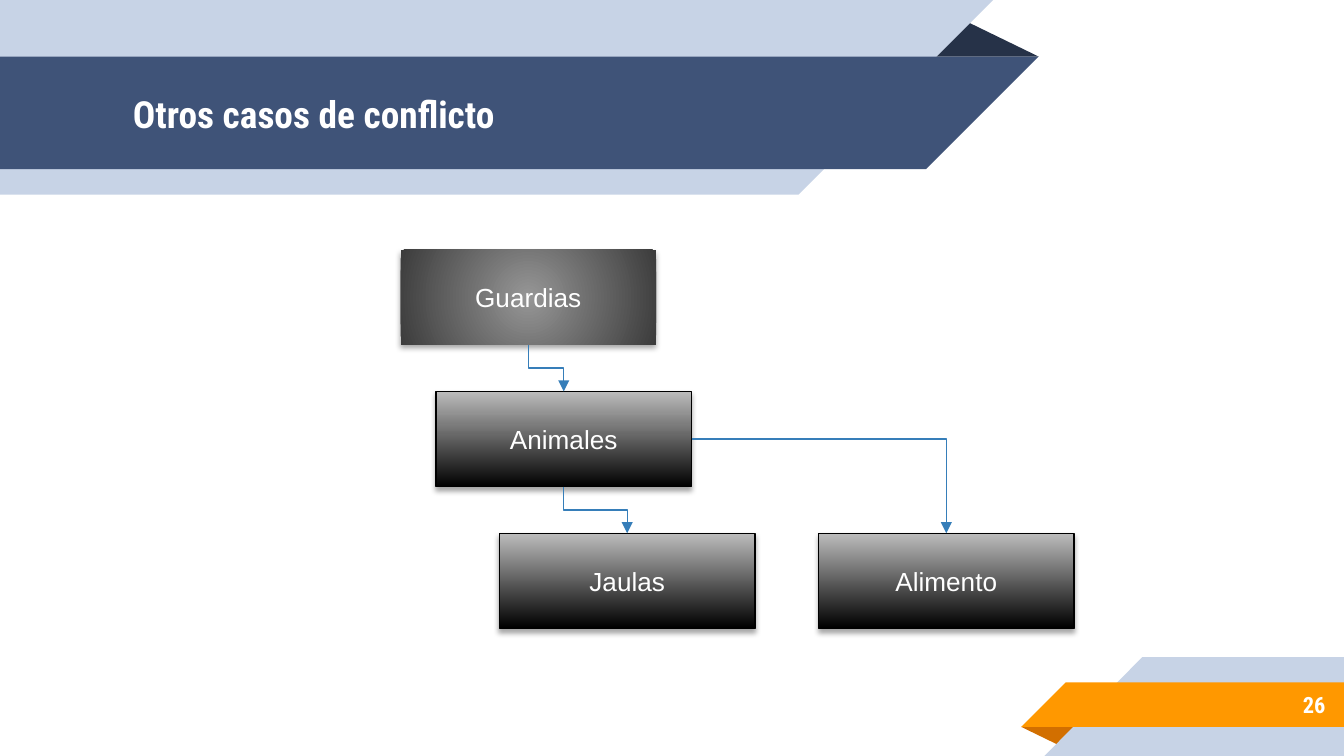
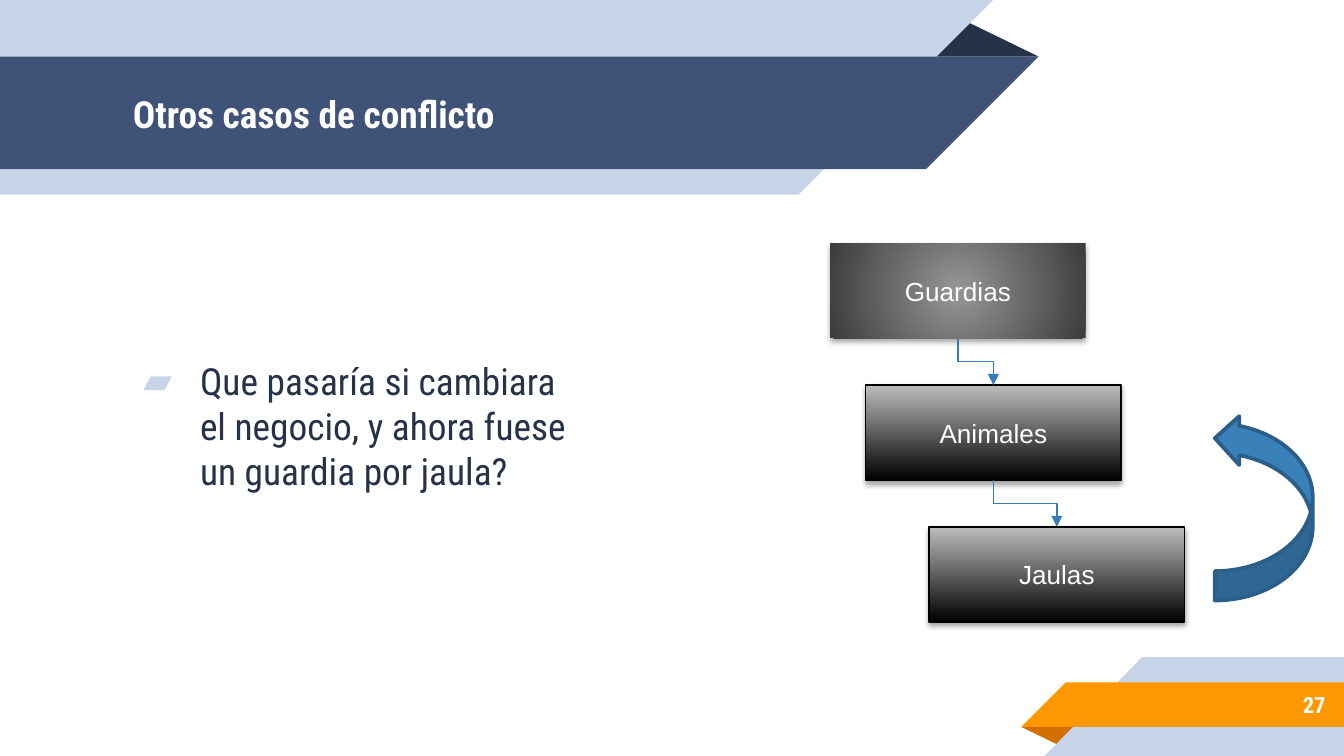
from dataclasses import dataclass

from lxml import etree
from pptx import Presentation
from pptx.dml.color import RGBColor
from pptx.enum.shapes import MSO_CONNECTOR, MSO_SHAPE
from pptx.enum.text import MSO_ANCHOR, MSO_AUTO_SIZE, PP_ALIGN
from pptx.oxml import parse_xml
from pptx.oxml.ns import nsdecls, qn
from pptx.util import Cm, Pt

RECT, CURVE = MSO_SHAPE.RECTANGLE, MSO_SHAPE.CURVED_UP_ARROW
ELBOW = MSO_CONNECTOR.ELBOW
MIDDLE, NO_FIT = MSO_ANCHOR.MIDDLE, MSO_AUTO_SIZE.NONE
LEFT, CENTER, RIGHT = PP_ALIGN.LEFT, PP_ALIGN.CENTER, PP_ALIGN.RIGHT
TOP_SITE, LOW_SITE, RIGHT_SITE = 0, 2, 3

rgb = RGBColor.from_string


@dataclass(frozen=True)
class Theme:
    white: RGBColor = rgb("FFFFFF")
    black: RGBColor = rgb("000000")
    pale: RGBColor = rgb("C7D3E6")
    navy: RGBColor = rgb("3F5378")
    dark: RGBColor = rgb("263248")
    orange: RGBColor = rgb("FF9800")
    rust: RGBColor = rgb("D26F00")
    blue: RGBColor = rgb("367EB9")
    arrow: RGBColor = rgb("3A81BA")
    edge: RGBColor = rgb("2B5F8A")
    silver: RGBColor = rgb("BDBDBD")
    gray: RGBColor = rgb("969696")
    coal: RGBColor = rgb("3C3C3C")
    head: str = "Roboto Condensed"
    plain: str = "Arial"
    big: int = 20
    mid: int = 14
    small: int = 12


T = Theme()
WIDE, HIGH = 25.4, 14.29
BOX_W, BOX_H = 4.83, 1.8
STEP = 2.68
# Distance right of the first box, and row, of each box
SPOTS = {"Guardias": (0, 0), "Animales": (0.67, 1),
         "Jaulas": (1.87, 2), "Alimento": (7.9, 2)}
BANDS = [
    (T.dark, [(17.48, 1.07), (18.17, 0.36), (19.63, 1.07)]),
    (T.pale, [(0, 0), (18.77, 0), (15.09, 3.68), (0, 3.68)]),
    (T.navy, [(0, 1.07), (19.63, 1.07), (17.5, 3.2), (0, 3.2)]),
    (T.rust, [(19.3, 13.74), (20.39, 13.74), (20.04, 14.1)]),
    (T.pale, [(21.59, 12.42), (WIDE, 12.42), (WIDE, HIGH), (19.74, HIGH)]),
    (T.orange, [(20.14, 12.9), (WIDE, 12.9), (WIDE, 13.74), (19.3, 13.74)]),
]


def add_mark(para):
    """Give the paragraph a hanging slanted bullet."""
    props = para._p.get_or_add_pPr()
    props.set("marL", str(Cm(1.27)))
    props.set("indent", str(-Cm(1.07)))
    color = etree.SubElement(props, qn("a:buClr"))
    etree.SubElement(color, qn("a:srgbClr"), val=str(T.pale))
    etree.SubElement(props, qn("a:buChar"), char="▰")


def put(shape, text, size, font=T.head, color=T.white, bold=False,
        align=LEFT, inset=0.25, mark=False):
    frame = shape.text_frame
    frame.word_wrap = True
    frame.auto_size = NO_FIT
    frame.vertical_anchor = MIDDLE
    frame.margin_left = frame.margin_right = Cm(inset)
    frame.margin_top = frame.margin_bottom = Cm(inset)
    para = frame.paragraphs[0]
    if mark:
        add_mark(para)
    para.alignment = align
    para.space_before = Pt(0)
    run = para.add_run()
    run.text = text
    run.font.name, run.font.size = font, Pt(size)
    run.font.bold, run.font.color.rgb = bold, color


def place(shape, x, y, w, h):
    shape.left, shape.top = Cm(x), Cm(y)
    shape.width, shape.height = Cm(w), Cm(h)


def add_bands(slide, master):
    """Draw the ribbons and hand them to the master, for all slides."""
    for num, (color, points) in enumerate(BANDS, 101):
        dots = [(Cm(x), Cm(y)) for x, y in points]
        pen = slide.shapes.build_freeform(*dots[0])
        pen.add_line_segments(dots[1:], close=True)
        band = pen.convert_to_shape()
        band.fill.solid()
        band.fill.fore_color.rgb = color
        band.line.fill.background()
        band.shadow.inherit = False
        band._element.nvSpPr.cNvPr.set("id", str(num))
        master.shapes._spTree.append(band._element)


def add_shade(shape):
    shape.shadow.inherit = False
    effect = shape._element.spPr.find(qn("a:effectLst"))
    effect.append(parse_xml(
        f'<a:outerShdw {nsdecls("a")} blurRad="{Pt(3.1)}" dist="{Pt(1.8)}" '
        'dir="5400000" rotWithShape="0"><a:srgbClr val="000000">'
        '<a:alpha val="35000"/></a:srgbClr></a:outerShdw>'))


def blend(shape, first, last, radial=False):
    """Fill from the bottom up, or from the centre out if radial."""
    shape.fill.gradient()
    for stop, color in zip(shape.fill.gradient_stops, (first, last)):
        stop.color.rgb = color
    if not radial:
        shape.fill.gradient_angle = 90
        return
    grad = shape._element.spPr.find(qn("a:gradFill"))
    grad.replace(grad.find(qn("a:lin")), parse_xml(
        f'<a:path {nsdecls("a")} path="circle"><a:fillToRect '
        'l="50000" t="50000" r="50000" b="50000"/></a:path>'))


def add_box(slide, name, x, y):
    box = slide.shapes.add_shape(RECT, Cm(x), Cm(y), Cm(BOX_W), Cm(BOX_H))
    if name == "Guardias":
        blend(box, T.gray, T.coal, radial=True)
        box.line.fill.background()
    else:
        blend(box, T.black, T.silver)
        box.line.color.rgb = T.black
        box.line.width = Pt(0.75)
    add_shade(box)
    put(box, name, T.mid, font=T.plain, align=CENTER, inset=0.13)
    return box


def add_link(slide, start, end, side=False):
    """Join two boxes: down, across and down, or across and down if side."""
    link = slide.shapes.add_connector(ELBOW, 0, 0, 0, 0)
    link.begin_connect(start, RIGHT_SITE if side else LOW_SITE)
    link.end_connect(end, TOP_SITE)
    props = link._element.spPr
    if side:
        props.find(qn("a:prstGeom")).set("prst", "bentConnector2")
    else:
        wide, high = link.width, link.height
        link.left += (wide - high) // 2
        link.top += (high - wide) // 2
        link.width, link.height = high, wide
        frame = props.find(qn("a:xfrm"))
        frame.set("rot", "16200000")
        frame.set("flipH", "1")
    link.line.color.rgb = T.blue
    link.line.width = Pt(0.75)
    etree.SubElement(props.find(qn("a:ln")), qn("a:tailEnd"), type="triangle")
    etree.SubElement(props, qn("a:effectLst"))


def add_chain(slide, x, y, names):
    boxes = {}
    for name in names:
        shift, row = SPOTS[name]
        boxes[name] = add_box(slide, name, x + shift, y + row * STEP)
    add_link(slide, boxes["Guardias"], boxes["Animales"])
    add_link(slide, boxes["Animales"], boxes["Jaulas"])
    if "Alimento" in boxes:
        add_link(slide, boxes["Animales"], boxes["Alimento"], side=True)


def add_curve(slide):
    curve = slide.shapes.add_shape(
        CURVE, Cm(22.12), Cm(8.66), Cm(3.53), Cm(1.85))
    curve.rotation = 270
    for num, value in enumerate((0.3, 0.5, 0.25)):
        curve.adjustments[num] = value
    curve.fill.solid()
    curve.fill.fore_color.rgb = T.arrow
    curve.line.color.rgb = T.edge
    curve.line.width = Pt(2)
    curve.shadow.inherit = False


def add_page(deck, layout, number):
    slide = deck.slides.add_slide(deck.slide_layouts[layout])
    title = slide.shapes.title
    place(title, 2.26, 1.09, 15.27, 2.13)
    put(title, "Otros casos de conflicto", T.big, bold=True)
    label = slide.shapes.add_textbox(Cm(21.16), Cm(12.88), Cm(4.14), Cm(0.89))
    put(label, str(number), T.small, bold=True, align=RIGHT)
    return slide


def main():
    deck = Presentation()
    deck.slide_width, deck.slide_height = Cm(WIDE), Cm(HIGH)

    first = add_page(deck, 5, 26)
    add_bands(first, deck.slide_master)
    add_chain(first, 7.57, 4.72, SPOTS)

    second = add_page(deck, 1, 27)
    body = second.placeholders[1]
    place(body, 2.26, 3.68, 9.07, 8.74)
    put(body, "Que pasaría si cambiara el negocio, y ahora fuese un guardia "
        "por jaula?", T.big, color=T.dark, mark=True)
    add_chain(second, 15.69, 4.6, ["Guardias", "Animales", "Jaulas"])
    add_curve(second)

    deck.save("out.pptx")


if __name__ == "__main__":
    main()
